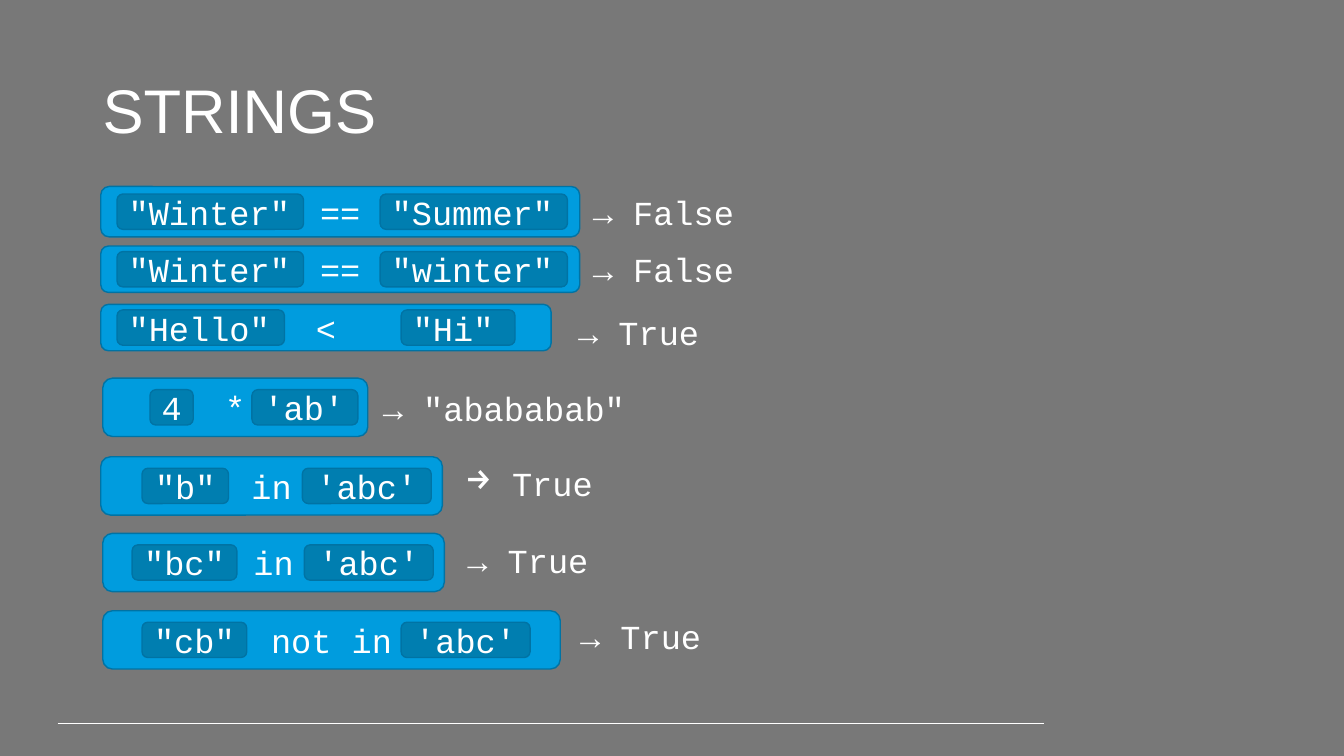
from dataclasses import dataclass

from lxml import etree
from pptx import Presentation
from pptx.dml.color import RGBColor
from pptx.enum import shapes, text
from pptx.oxml import ns
from pptx.util import Cm, Pt

COLOURS = {
    "background": "787878",
    "bar": "009CDE",
    "operand": "007EB0",
    "outline": "0073A4",
    "white": "FFFFFF",
}
OPERAND_HEIGHT = 0.89
RESULT_HEIGHT = 1.18
LEFT, CENTER = text.PP_ALIGN.LEFT, text.PP_ALIGN.CENTER


@dataclass
class Expression:
    """A comparison: bar box, operator, operands (offset, width, words) and result."""
    box: tuple
    operator: str
    operands: tuple
    result: str
    result_gap: tuple
    result_width: float = 7.21
    operand_align: text.PP_ALIGN = LEFT
    bulleted: bool = False


WINTER = (0.41, 4.7, '"Winter"')
ABC = (5.08, 3.25, "'abc'")
EXPRESSIONS = [
    Expression((2.54, 4.7, 12.07, 1.27), "==", (WINTER, (7.04, 4.72, '"Summer"')),
               "→ False", (0.08, 0.13), 5.13),
    Expression((2.54, 6.2, 12.07, 1.17), "==", (WINTER, (7.04, 4.72, '"winter"')),
               "→ False", (0.08, 0.05), 5.13),
    Expression((2.54, 7.67, 11.35, 1.17), "<",
               ((0.41, 4.22, '"Hello"'), (7.57, 2.87, '"Hi"')),
               "→ True", (0.43, 0.18), 5.13),
    Expression((2.59, 9.53, 6.68, 1.47), "*",
               ((1.19, 1.09, "4"), (3.76, 2.67, "'ab'")),
               '→ "abababab"', (0.13, 0.23)),
    Expression((2.54, 11.51, 8.61, 1.47), "in", ((1.04, 2.18, '"b"'), ABC),
               " True", (0.33, 0.15), operand_align=CENTER, bulleted=True),
    Expression((2.59, 13.44, 8.61, 1.47), "in", ((0.74, 2.64, '"bc"'), ABC),
               "→ True", (0.33, 0.15), operand_align=CENTER),
    Expression((2.59, 15.39, 11.53, 1.47), "not in",
               ((0.99, 2.64, '"cb"'), (7.52, 3.25, "'abc'")),
               "→ True", (0.25, 0.13), operand_align=CENTER),
]


def rgb(name):
    """Return the named colour."""
    return RGBColor.from_string(COLOURS[name])


def write(frame, words, align=LEFT, size=24, font="Courier New"):
    """Fill a text frame with one white paragraph and return the paragraph."""
    frame.text = words
    frame.word_wrap = True
    paragraph = frame.paragraphs[0]
    paragraph.alignment = align
    for run in paragraph.runs:
        run.font.size = Pt(size)
        run.font.name = font
        run.font.color.rgb = rgb("white")
    return paragraph


def add_block(slide, box, fill, words, align):
    """Draw a rounded rectangle holding code."""
    block = slide.shapes.add_shape(
        shapes.MSO_SHAPE.ROUNDED_RECTANGLE, *map(Cm, box))
    block.shadow.inherit = False
    block.fill.solid()
    block.fill.fore_color.rgb = rgb(fill)
    block.line.color.rgb = rgb("outline")
    block.line.width = Pt(1)
    block.text_frame.vertical_anchor = text.MSO_ANCHOR.MIDDLE
    write(block.text_frame, words, align)


def add_result(slide, box, words, bulleted):
    """Write the value of an expression, with the arrow as bullet if asked."""
    result = slide.shapes.add_textbox(*map(Cm, box)).text_frame
    paragraph = write(result, words)
    result.auto_size = text.MSO_AUTO_SIZE.SHAPE_TO_FIT_TEXT
    paragraph.line_spacing = 0.9
    if bulleted:
        properties = paragraph._p.get_or_add_pPr()
        properties.set("marL", str(Cm(0.64)))
        properties.set("indent", str(-Cm(0.64)))
        etree.SubElement(properties, ns.qn("a:buChar")).set("char", "→")


def add_expression(slide, expression):
    """Draw one expression bar, its operands and its result."""
    left, top, width, height = expression.box
    add_block(slide, expression.box, "bar", expression.operator, CENTER)
    operand_top = top + (height - OPERAND_HEIGHT) / 2
    for offset, operand_width, words in expression.operands:
        add_block(slide, (left + offset, operand_top, operand_width, OPERAND_HEIGHT),
                  "operand", words, expression.operand_align)
    gap, drop = expression.result_gap
    add_result(slide, (left + width + gap, top + drop, expression.result_width,
                       RESULT_HEIGHT), expression.result, expression.bulleted)


def add_title(slide, box, words):
    """Move the title placeholder to its box and format it."""
    title = slide.shapes.title
    title.left, title.top, title.width, title.height = map(Cm, box)
    paragraph = write(title.text_frame, words, size=44, font="Arial")
    paragraph.line_spacing = 0.9
    title.text_frame.vertical_anchor = text.MSO_ANCHOR.MIDDLE
    title.text_frame.auto_size = text.MSO_AUTO_SIZE.NONE


def add_footer_rule(slide, left, right, height):
    """Draw the thin white rule above the foot of the slide."""
    rule = slide.shapes.add_connector(
        shapes.MSO_CONNECTOR.STRAIGHT, Cm(left), Cm(height), Cm(right), Cm(height))
    rule.line.color.rgb = rgb("white")
    rule.line.width = Pt(0.75)
    etree.SubElement(rule._element.spPr, ns.qn("a:effectLst"))


def main():
    """Build the strings slide and save it."""
    deck = Presentation()
    deck.slide_width, deck.slide_height = Cm(33.87), Cm(19.05)
    slide = deck.slides.add_slide(deck.slide_layouts.get_by_name("Title Only"))
    slide.background.fill.solid()
    slide.background.fill.fore_color.rgb = rgb("background")
    add_footer_rule(slide, 1.45, 26.31, 18.23)
    add_title(slide, (2.33, 1.02, 29.21, 3.68), "STRINGS")
    for expression in EXPRESSIONS:
        add_expression(slide, expression)
    deck.save("out.pptx")


if __name__ == "__main__":
    main()
